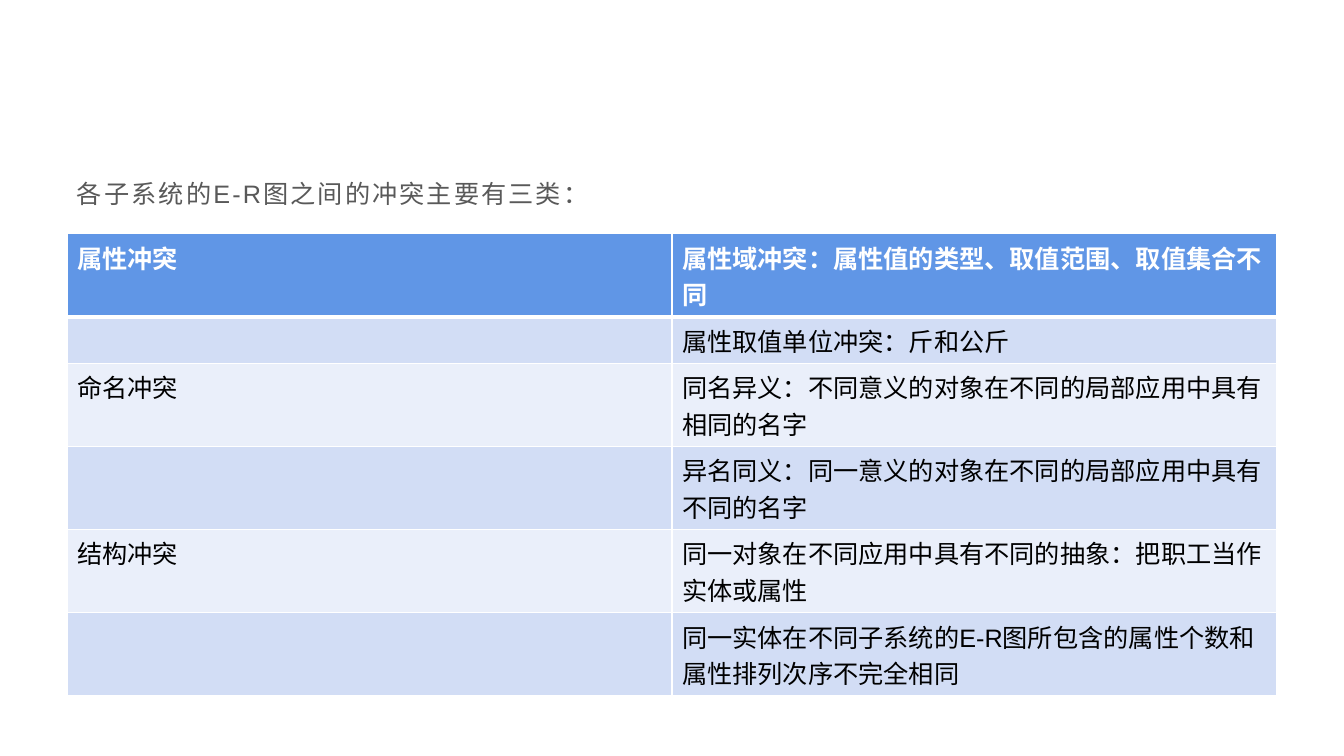
"""Build a slide with a table of the three kinds of E-R diagram conflict."""
from lxml.etree import SubElement
from pptx import Presentation
from pptx.dml.color import RGBColor
from pptx.oxml.ns import qn
from pptx.util import Inches, Pt

WHITE, BLUE, PALE, LIGHT = "FFFFFF", "6096E6", "D2DDF5", "EAEFFA"
LEFT, WIDTH = 0.665, 12
TALL, SHORT = 0.825, 0.46
ROWS = [
    ("属性冲突", "属性域冲突：属性值的类型、取值范围、取值集合不同"),
    ("", "属性取值单位冲突：斤和公斤"),
    ("命名冲突", "同名异义：不同意义的对象在不同的局部应用中具有相同的名字"),
    ("", "异名同义：同一意义的对象在不同的局部应用中具有不同的名字"),
    ("结构冲突", "同一对象在不同应用中具有不同的抽象：把职工当作实体或属性"),
    ("", "同一实体在不同子系统的E-R图所包含的属性个数和属性排列次序不完全相同"),
]


def color(code):
    """Turn a hex string into a colour."""
    return RGBColor.from_string(code)


def write(frame, text, ink="000000", bold=False, space=0, line=None, after=None):
    """Put one formatted paragraph into a text frame."""
    para = frame.paragraphs[0]
    para.line_spacing = line
    para.space_after = after
    para.font.size = Pt(18)
    if text:
        run = para.add_run()
        run.text = text
        font = run.font
        font.name, font.size, font.bold = "Arial", Pt(18), bold
        font.color.rgb = color(ink)
        if space:
            run._r.get_or_add_rPr().set("spc", str(space))


deck = Presentation()
deck.slide_width, deck.slide_height = Inches(13.33), Inches(7.5)
slide = deck.slides.add_slide(deck.slide_layouts[6])

intro = slide.shapes.add_textbox(Inches(LEFT), Inches(1.63), Inches(WIDTH), Inches(5.2))
intro.text_frame.word_wrap = True
write(intro.text_frame, "各子系统的E-R图之间的冲突主要有三类：",
      ink="595959", space=150, line=1.3, after=Pt(10))

table = slide.shapes.add_table(len(ROWS), 2, Inches(LEFT), Inches(2.32), Inches(WIDTH),
                               Inches(5 * TALL + SHORT)).table
for r, texts in enumerate(ROWS):
    head = r == 0
    table.rows[r].height = Inches(SHORT if r == 1 else TALL)
    for c, text in enumerate(texts):
        cell = table.cell(r, c)
        write(cell.text_frame, text, ink=WHITE if head else "000000", bold=head)
        props = cell._tc.get_or_add_tcPr()
        for side in "LRTB":
            thick = (head and side == "B") or (r == 1 and side == "T")
            edge = SubElement(props, qn(f"a:ln{side}"), w=str(Pt(3 if thick else 1)))
            paint = SubElement(edge, qn("a:solidFill"))
            SubElement(paint, qn("a:srgbClr"), val=WHITE)
        cell.fill.solid()
        cell.fill.fore_color.rgb = color(BLUE if head else PALE if r % 2 else LIGHT)

deck.save("out.pptx")
